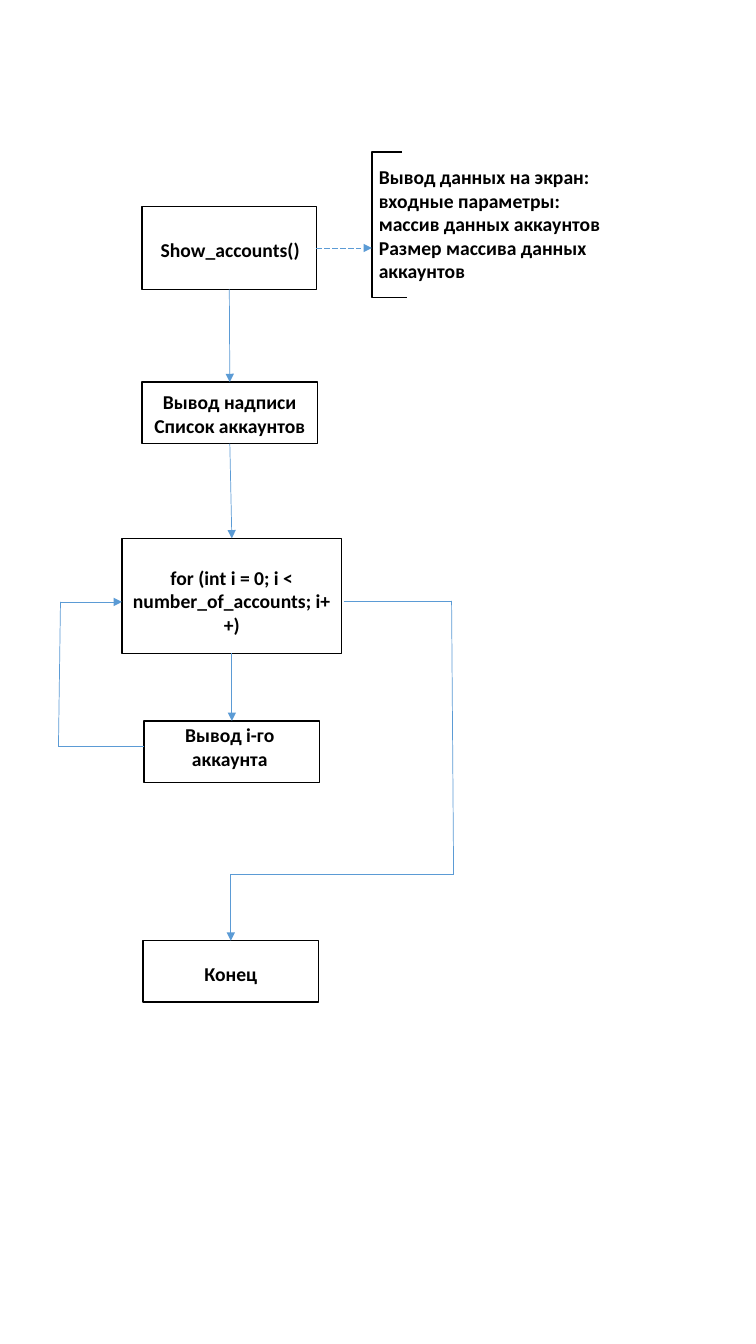
"""Build the flowchart of Show_accounts()."""
from dataclasses import dataclass
from itertools import pairwise

from lxml.etree import SubElement
from pptx import Presentation
from pptx.dml.color import RGBColor
from pptx.enum.dml import MSO_LINE
from pptx.enum.shapes import MSO_CONNECTOR, MSO_SHAPE
from pptx.enum.text import MSO_ANCHOR, PP_ALIGN
from pptx.oxml.ns import qn
from pptx.shapes.autoshape import Shape
from pptx.shapes.connector import Connector
from pptx.shapes.shapetree import SlideShapes
from pptx.text.text import TextFrame
from pptx.util import Inches, Pt

Point = tuple[float, float]
TOP, BOTTOM, RIGHT = 0, 2, 3


@dataclass(frozen=True)
class Theme:
    """Colours, font and weights of the chart."""
    ink: RGBColor = RGBColor(0x00, 0x00, 0x00)
    paper: RGBColor = RGBColor(0xFF, 0xFF, 0xFF)
    flow: RGBColor = RGBColor(0x5B, 0x9B, 0xD5)
    font: str = "Calibri"
    text_size: Pt = Pt(14)
    outline: Pt = Pt(1)
    flow_width: Pt = Pt(0.5)


@dataclass(frozen=True)
class Step:
    """A box of the chart, with the offset of its text from the centre."""
    left: float
    top: float
    width: float
    height: float
    lines: tuple[str, ...]
    shift_x: float = 0
    shift_y: float = 0


THEME = Theme()
CALL = Step(1.41, 2.05, 1.73, 0.82, ("Show_accounts()",), 0.01, 0.02)
HEADING = Step(1.41, 3.79, 1.74, 0.61, ("Вывод надписи", "Список аккаунтов"), 0, 0.01)
LOOP = Step(1.21, 5.34, 2.18, 1.14, ("for (int i = 0; i < number_of_accounts; i++)",), 0, 0.05)
OUTPUT = Step(1.43, 7.15, 1.74, 0.61, ("Вывод i-го аккаунта",), -0.02, -0.05)
END = Step(1.42, 9.33, 1.74, 0.61, ("Конец",), 0, 0.02)

NOTE_LINES = (
    "Вывод данных на экран:",
    "входные параметры:",
    "массив данных аккаунтов",
    "Размер массива данных аккаунтов",
)
BRACKET: list[Point] = [(3.99, 1.51), (3.69, 1.51), (3.69, 2.95), (4.04, 2.95)]
REPEAT_ROUTE: list[Point] = [(1.43, 7.4), (0.58, 7.4), (0.6, 5.97), (1.21, 5.97)]
EXIT_ROUTE: list[Point] = [(3.41, 5.96), (4.48, 5.96), (4.5, 8.67), (2.29, 8.67), (2.29, 9.33)]


def write_lines(frame: TextFrame, lines: tuple[str, ...], align: PP_ALIGN) -> None:
    """Write one bold paragraph per line."""
    frame.word_wrap = True
    frame.vertical_anchor = MSO_ANCHOR.MIDDLE
    for index, line in enumerate(lines):
        paragraph = frame.add_paragraph() if index else frame.paragraphs[0]
        paragraph.alignment = align
        run = paragraph.add_run()
        run.text = line
        run.font.name = THEME.font
        run.font.size = THEME.text_size
        run.font.bold = True
        run.font.color.rgb = THEME.ink


def outline(shape: Shape) -> None:
    """Give a shape the plain dark outline."""
    shape.shadow.inherit = False
    shape.line.color.rgb = THEME.ink
    shape.line.width = THEME.outline


def draw_step(shapes: SlideShapes, step: Step) -> Shape:
    """Draw a box with its text."""
    box = shapes.add_shape(
        MSO_SHAPE.RECTANGLE,
        Inches(step.left), Inches(step.top), Inches(step.width), Inches(step.height),
    )
    outline(box)
    box.fill.solid()
    box.fill.fore_color.rgb = THEME.paper
    frame = box.text_frame
    frame.margin_left = Inches(0.1 + step.shift_x)
    frame.margin_right = Inches(0.1 - step.shift_x)
    frame.margin_top = Inches(0.05 + step.shift_y)
    frame.margin_bottom = Inches(0.05 - step.shift_y)
    write_lines(frame, step.lines, PP_ALIGN.CENTER)
    return box


def draw_line(shapes: SlideShapes, start: Point, end: Point, arrow: bool) -> Connector:
    """Draw a straight flow line, with an arrowhead if asked."""
    flow = shapes.add_connector(
        MSO_CONNECTOR.STRAIGHT, *(Inches(value) for value in (*start, *end))
    )
    flow.line.color.rgb = THEME.flow
    flow.line.width = THEME.flow_width
    if arrow:
        SubElement(flow.line._get_or_add_ln(), qn("a:tailEnd"), type="triangle")
    SubElement(flow._element.spPr, qn("a:effectLst"))
    return flow


def draw_route(shapes: SlideShapes, route: list[Point]) -> Connector:
    """Draw a bent route and return its last part, which has the arrowhead."""
    for start, end in pairwise(route[:-1]):
        draw_line(shapes, start, end, False)
    return draw_line(shapes, route[-2], route[-1], True)


def draw_note(shapes: SlideShapes, call_box: Shape) -> None:
    """Draw the bracketed note and the dashed arrow to it."""
    corners = [(Inches(x), Inches(y)) for x, y in BRACKET]
    builder = shapes.build_freeform(*corners[0])
    builder.add_line_segments(corners[1:], close=False)
    bracket = builder.convert_to_shape()
    outline(bracket)
    bracket.fill.background()
    note = shapes.add_textbox(Inches(3.66), Inches(1.58), Inches(2.45), Inches(1.28))
    write_lines(note.text_frame, NOTE_LINES, PP_ALIGN.LEFT)
    pointer = draw_line(shapes, (3.15, 2.48), (3.69, 2.46), True)
    pointer.line.dash_style = MSO_LINE.LONG_DASH
    pointer.begin_connect(call_box, RIGHT)


def main() -> None:
    """Draw the chart and save it."""
    deck = Presentation()
    deck.slide_width, deck.slide_height = Inches(7.5), Inches(13.33)
    shapes = deck.slides.add_slide(deck.slide_layouts[6]).shapes

    boxes = [draw_step(shapes, step) for step in (CALL, HEADING, LOOP, OUTPUT, END)]
    *sequence, end_box = boxes
    for source, target in pairwise(sequence):
        flow = draw_line(shapes, (0, 0), (1, 1), True)
        flow.begin_connect(source, BOTTOM)
        flow.end_connect(target, TOP)

    draw_note(shapes, boxes[0])
    draw_route(shapes, REPEAT_ROUTE)
    draw_route(shapes, EXIT_ROUTE).end_connect(end_box, TOP)
    deck.save("out.pptx")


if __name__ == "__main__":
    main()
